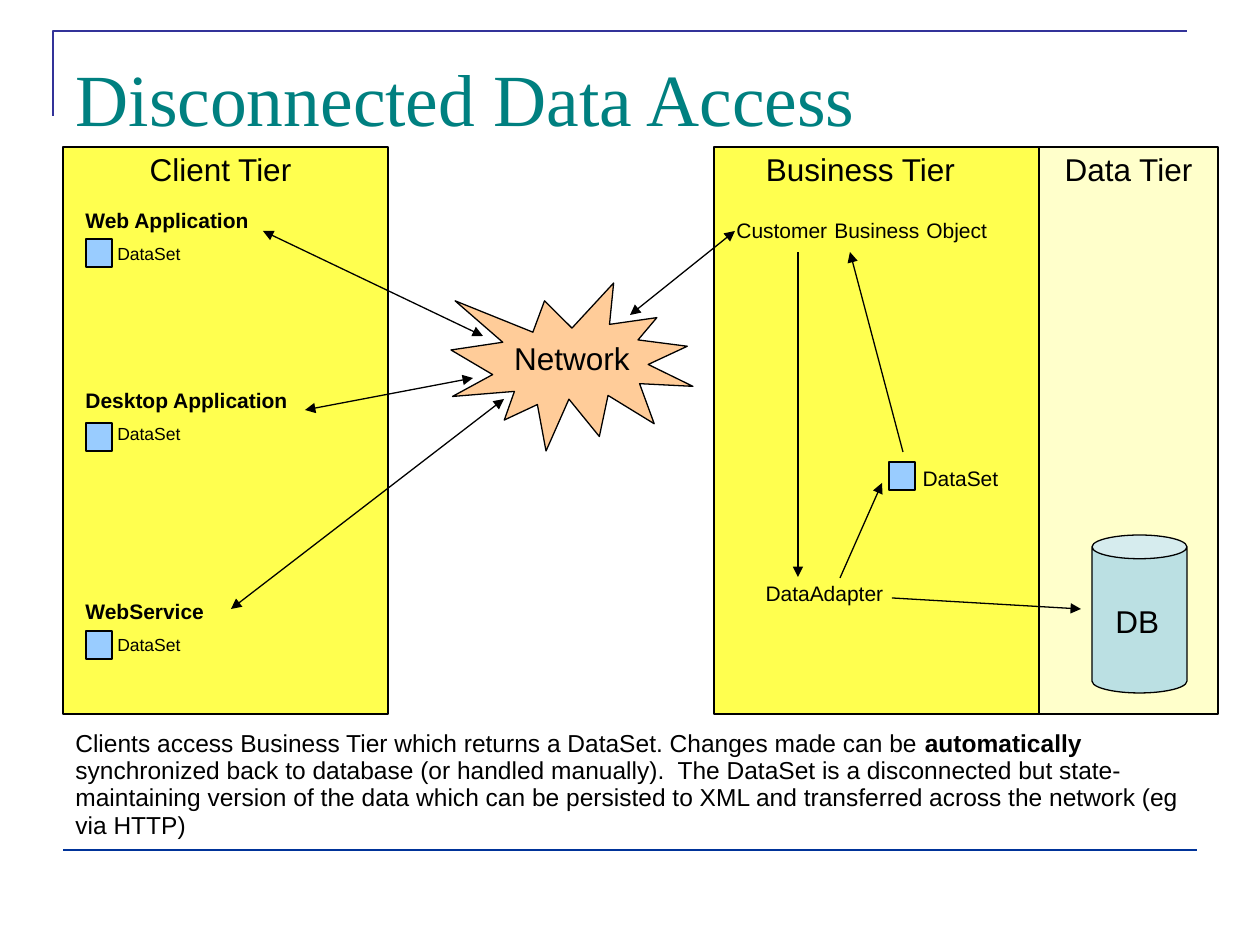
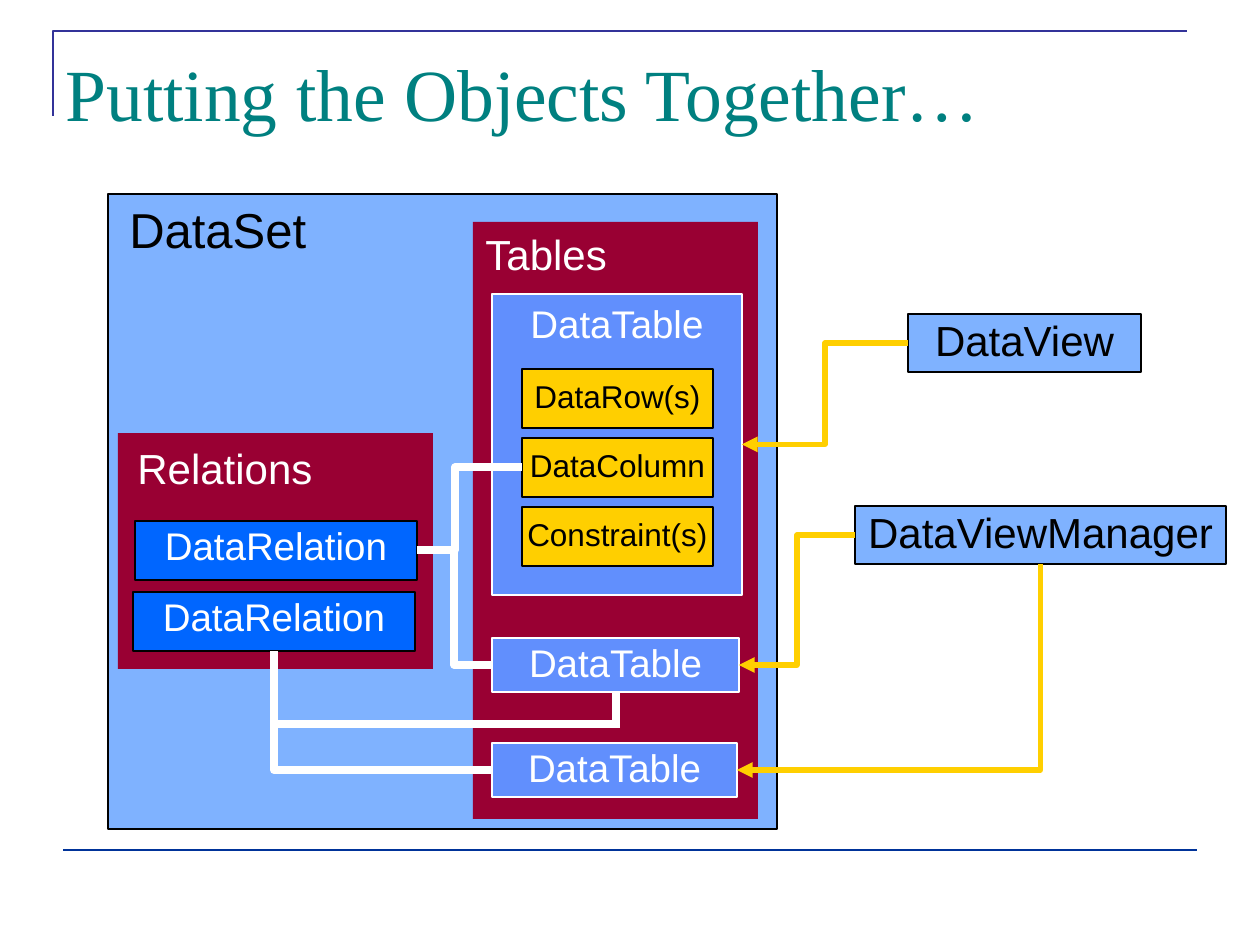
from lxml.etree import SubElement
from pptx import Presentation
from pptx.dml.color import RGBColor
from pptx.enum.shapes import MSO_CONNECTOR, MSO_SHAPE
from pptx.enum.text import MSO_ANCHOR, MSO_AUTO_SIZE, PP_ALIGN
from pptx.oxml.ns import qn
from pptx.util import Pt

EMU_PER_PX = 914400 / 126
TITLE_ONLY = 5
TOP, LEFT, BOTTOM, RIGHT = range(4)  # connection sites of a rectangle

COLORS = {
    "black": "000000",
    "white": "FFFFFF",
    "title": "008080",
    "corner": "333399",
    "footer": "003399",
    "tier": "FFFF00",
    "data tier": "FFFF99",
    "network": "FFCC99",
    "database": "BBE0E3",
    "marker": "99CCFF",
    "blue": "0066FF",
    "collection": "990033",
    "table": "618FFD",
    "gold": "FFCF00",
}


def px(length):
    return round(length * EMU_PER_PX)


def rgb(name):
    return RGBColor.from_string(COLORS[name])


class Deck:
    body_font = "Arial"
    title_font = "Times New Roman"

    def __init__(self):
        self.presentation = Presentation()
        self.presentation.slide_width = px(1260)
        self.presentation.slide_height = px(945)
        self.layout = self.presentation.slide_layouts[TITLE_ONLY]
        self.slide = None

    def add_slide(self, title, bounds, anchor):
        is_first = self.slide is None
        self.slide = self.presentation.slides.add_slide(self.layout)
        if is_first:
            self.add_frame_to_layout()
        shape = self.slide.shapes.title
        shape.left, shape.top, shape.width, shape.height = map(px, bounds)
        self.set_text(shape, title, 42, "title", PP_ALIGN.LEFT, anchor, 1,
                      font=self.title_font)

    def add_frame_to_layout(self):
        """Draw the corner and footer rule, then hand them to the layout."""
        builder = self.slide.shapes.build_freeform(px(53), px(116))
        builder.add_line_segments([(px(53), px(31)), (px(1187), px(31))], close=False)
        corner = builder.convert_to_shape()
        corner.shadow.inherit = False
        corner.fill.background()
        self.outline(corner, "corner", 1.5)
        footer = self.line((63, 850), (1197, 850), "footer", 1.5)
        for number, shape in enumerate((corner, footer), start=101):
            shape.element.find(".//" + qn("p:cNvPr")).set("id", str(number))
            self.layout.shapes.element.append(shape.element)

    def outline(self, shape, color, width):
        shape.line.color.rgb = rgb(color)
        shape.line.width = Pt(width)

    def set_text(self, shape, runs, size, color="black", align=PP_ALIGN.CENTER,
                 anchor=MSO_ANCHOR.TOP, spacing=0.9, bold=False, wrap=True, font=None):
        """Fill a shape with one paragraph; a run is text or (text, size, bold)."""
        frame = shape.text_frame
        frame.auto_size = MSO_AUTO_SIZE.NONE
        frame.word_wrap = wrap
        frame.vertical_anchor = anchor
        paragraph = frame.paragraphs[0]
        paragraph.alignment = align
        paragraph.line_spacing = spacing
        for item in [runs] if isinstance(runs, str) else runs:
            text, run_size, run_bold = (item, size, bold) if isinstance(item, str) else item
            run = paragraph.add_run()
            run.text = text
            run.font.name = font or self.body_font
            run.font.size = Pt(run_size)
            run.font.bold = run_bold
            run.font.color.rgb = rgb(color)

    def label(self, bounds, runs, size, align=PP_ALIGN.LEFT, spacing=0.93, **style):
        box = self.slide.shapes.add_textbox(*map(px, bounds))
        self.set_text(box, runs, size, align=align, spacing=spacing, **style)

    def box(self, bounds, fill, line="black", opacity=100, kind=MSO_SHAPE.RECTANGLE):
        shape = self.slide.shapes.add_shape(kind, *map(px, bounds))
        shape.shadow.inherit = False
        shape.fill.solid()
        shape.fill.fore_color.rgb = rgb(fill)
        if opacity < 100:
            color = shape.element.spPr.find(".//" + qn("a:srgbClr"))
            SubElement(color, qn("a:alpha"), val=str(opacity * 1000))
        if line:
            self.outline(shape, line, 0.75)
        else:
            shape.line.fill.background()
        return shape

    def text_box(self, bounds, text, size, fill, line="black", opacity=100, **style):
        shape = self.box(bounds, fill, line, opacity)
        self.set_text(shape, text, size, **style)
        return shape

    def line(self, start, end, color="black", width=0.75, arrows=(),
             kind=MSO_CONNECTOR.STRAIGHT):
        """Draw a connector; arrows names its arrow ends, headEnd being the start."""
        connector = self.slide.shapes.add_connector(kind, *map(px, (*start, *end)))
        self.outline(connector, color, width)
        properties = connector.element.spPr
        for name in arrows:
            SubElement(properties.find(qn("a:ln")), qn("a:" + name), type="triangle")
        SubElement(properties, qn("a:effectLst"))
        return connector

    def elbow(self, start, end, color, width, arrows=(), bend=0.5, corner=False):
        """Join two (shape, site) ends; corner turns once instead of twice."""
        connector = self.line((0, 0), (0, 0), color, width, arrows, MSO_CONNECTOR.ELBOW)
        connector.begin_connect(*start)
        connector.end_connect(*end)
        geometry = connector.element.spPr.find(qn("a:prstGeom"))
        if corner:
            geometry.set("prst", "bentConnector2")
        else:
            SubElement(geometry.find(qn("a:avLst")), qn("a:gd"), name="adj1",
                       fmla=f"val {round(bend * 100000)}")


def add_data_access_slide(deck):
    deck.add_slide("Disconnected Data Access", (63, 42, 1134, 105), MSO_ANCHOR.BOTTOM)
    one_way, two_way = ("tailEnd",), ("headEnd", "tailEnd")

    tiers = [
        ("Client Tier", 63, 325, 63, 315, "tier", 69),
        ("Business Tier", 714, 325, 703, 315, "tier", 69),
        ("Data Tier", 1039, 179, 1039, 179, "data tier", 50),
    ]
    for name, left, width, text_left, text_width, fill, opacity in tiers:
        deck.box((left, 147, width, 567), fill, opacity=opacity)
        deck.label((text_left, 147, text_width, 48), name, 18, PP_ALIGN.CENTER)

    clients = [("Web Application", 204, 239), ("Desktop Application", 384, 423),
               ("WebService", 595, 631)]
    for name, top, marker_top in clients:
        deck.label((73, top, 294, 37), name, 12, bold=True)
        deck.label((105, top + 35, 116, 33), "DataSet", 10)
        deck.box((86, marker_top, 26, 28), "marker")

    deck.box((451, 283, 242, 168), "network", kind=MSO_SHAPE.EXPLOSION1)
    deck.label((451, 336, 242, 48), "Network", 18, PP_ALIGN.CENTER)

    customer_runs = ["Customer", (" ", 14, False), "Business", (" ", 14, False), "Object"]
    deck.label((724, 210, 294, 40), customer_runs, 12)
    deck.label((861, 462, 199, 37), "DataSet", 12, PP_ALIGN.CENTER)
    deck.box((889, 462, 26, 28), "marker")
    deck.label((714, 577, 221, 37), "DataAdapter", 12, PP_ALIGN.CENTER)

    deck.box((1092, 535, 95, 158), "database", kind=MSO_SHAPE.CAN)
    deck.label((1103, 599, 84, 48), "DB", 18)

    arrows = [
        ((840, 578), (882, 483), one_way),
        ((798, 252), (798, 577), one_way),
        ((903, 452), (850, 252), one_way),
        ((892, 598), (1081, 609), one_way),
        ((735, 231), (630, 315), two_way),
        ((231, 609), (504, 399), two_way),
        ((263, 231), (483, 336), two_way),
        ((305, 410), (473, 378), two_way),
    ]
    for start, end, ends in arrows:
        deck.line(start, end, arrows=ends)

    deck.label((63, 724, 1144, 122), [
        "Clients access Business Tier which returns a DataSet. Changes made can be ",
        ("automatically", 14, True),
        " synchronized back to database (or handled manually).  The DataSet is a "
        "disconnected but state-maintaining version of the data which can be persisted "
        "to XML and transferred across the network (eg via HTTP)",
    ], 14)


def add_objects_slide(deck):
    deck.add_slide("Putting the Objects Together…", (53, 42, 1134, 158), MSO_ANCHOR.TOP)
    middle = MSO_ANCHOR.MIDDLE

    deck.box((108, 194, 669, 635), "blue", opacity=50)
    deck.label((117, 200, 202, 66), "DataSet", 28, spacing=0.9, wrap=False)
    deck.text_box((473, 222, 285, 597), "Tables", 24, "collection", None,
                  color="white", align=PP_ALIGN.LEFT, spacing=1)
    main_table = deck.text_box((492, 294, 250, 301), "DataTable", 22, "table", "white",
                               color="white", spacing=1)
    second_table, third_table = [
        deck.text_box((492, top, width, 54), "DataTable", 22, "table", "white",
                      color="white", anchor=middle)
        for top, width in ((638, 247), (743, 245))
    ]

    deck.box((118, 433, 315, 236), "collection", None)
    deck.label((125, 442, 287, 58), "Relations", 24, spacing=0.9, color="white",
               anchor=middle)
    first_relation, second_relation = [
        deck.text_box((left, top, 282, 59), "DataRelation", 22, "blue", color="white")
        for left, top in ((135, 521), (133, 592))
    ]
    _, column, _ = [
        deck.text_box((522, 369 + 69 * row, 191, 59), name, 18, "gold",
                      anchor=middle, wrap=False)
        for row, name in enumerate(("DataRow(s)", "DataColumn", "Constraint(s)"))
    ]
    view = deck.text_box((908, 314, 233, 58), "DataView", 24, "blue", opacity=50,
                         anchor=middle)
    manager = deck.text_box((855, 506, 371, 58), "DataViewManager", 24, "blue",
                            opacity=50, anchor=middle, wrap=False)

    view_links = [
        ((third_table, RIGHT), (manager, BOTTOM), True),
        ((second_table, RIGHT), (manager, LEFT), False),
        ((main_table, RIGHT), (view, LEFT), False),
    ]
    for start, end, corner in view_links:
        deck.elbow(start, end, "gold", 3, ("headEnd",), corner=corner)

    relation_links = [
        ((third_table, LEFT), (second_relation, BOTTOM), 0.5, True),
        ((first_relation, RIGHT), (second_table, LEFT), 0.5, False),
        ((first_relation, RIGHT), (column, LEFT), 0.36, False),
    ]
    for start, end, bend, corner in relation_links:
        deck.elbow(start, end, "white", 4.5, bend=bend, corner=corner)
    deck.line((274, 724), (616, 724), "white", 4.5)
    deck.line((616, 728), (616, 692), "white", 4.5)


def main():
    deck = Deck()
    add_data_access_slide(deck)
    add_objects_slide(deck)
    deck.presentation.save("out.pptx")


if __name__ == "__main__":
    main()
